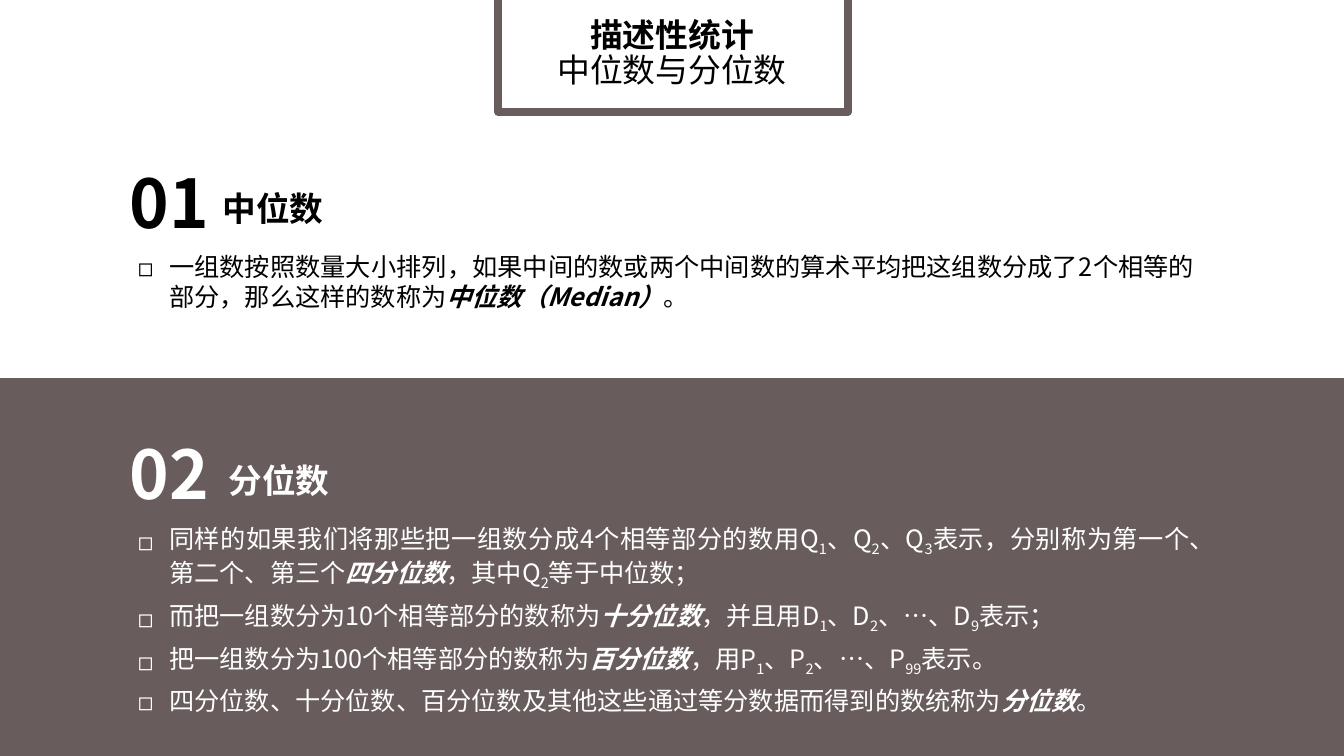
"""Build the slide on the median and quantiles."""
from dataclasses import dataclass
from typing import Any, NamedTuple

import lxml.etree
import pptx
import pptx.dml.color
import pptx.enum.shapes
import pptx.enum.text
import pptx.oxml.ns
import pptx.util

Inches = pptx.util.Inches
Align = pptx.enum.text.PP_ALIGN
Anchor = pptx.enum.text.MSO_ANCHOR
AutoSize = pptx.enum.text.MSO_AUTO_SIZE


@dataclass(frozen=True)
class Theme:
    font: str = "Noto Sans CJK SC"
    taupe: str = "685D5C"
    white: str = "FFFFFF"
    black: str = "000000"
    title_size: float = 23.4
    number_size: float = 48
    heading_size: float = 24
    body_size: float = 18
    frame_width: float = 5.5
    subscript: str = "-25000"
    bullet: str = "◻"


class Box(NamedTuple):
    left: float
    top: float
    width: float
    height: float

    def lengths(self) -> list[int]:
        return [Inches(value) for value in self]


class Section(NamedTuple):
    number: str
    number_box: Box
    heading: str
    heading_box: Box
    body: list[str]
    body_box: Box
    color: str
    space_before: float


THEME = Theme()
EMPHASIS: dict[str, dict[str, bool]] = {
    "*": {"bold": True, "italic": True},
    "#": {"bold": True},
    "_": {},
}
TITLE = "#描述性统计|\n|中位数与分位数"
TITLE_BOX = Box(4.93, -0.04, 3.47, 1.16)
FRAME_BOX = Box(4.94, -0.6, 3.47, 1.71)
PANEL_BOX = Box(0, 3.75, 13.33, 3.75)
SECTIONS = [
    Section(
        "#02", Box(0.9, 4.24, 1.68, 0.91),
        "#分位数", Box(1.88, 4.51, 2.79, 0.5),
        [
            "同样的如果我们将那些把一组数分成4个相等部分的数用Q|_1|、Q|_2|、Q|_3"
            "|表示，分别称为第一个、第二个、第三个|*四分位数|，其中Q|_2|等于中位数；",
            "而把一组数分为10个相等部分的数称为|*十分位数|，并且用D|_1|、D|_2|、…、D|_9|表示；",
            "把一组数分为100个相等部分的数称为|*百分位数|，用P|_1|、P|_2|、…、P|_99|表示。",
            "四分位数、十分位数、百分位数及其他这些通过等分数据而得到的数统称为|*分位数|。",
        ],
        Box(1.27, 5.14, 10.88, 1.87), THEME.white, 6,
    ),
    Section(
        "#01", Box(0.9, 1.55, 1.51, 0.91),
        "#中位数", Box(1.82, 1.82, 2.79, 0.5),
        [
            "一组数按照数量大小排列，如果中间的数或两个中间数的算术平均把这组数分成了2个相等的部分，"
            "那么这样的数称为|*中位数（Median）|。",
        ],
        Box(1.27, 2.44, 10.67, 0.71), THEME.black, 0,
    ),
]


def apply_format(target: Any, values: dict[str, Any]) -> None:
    """Set each named attribute on the target."""
    for name, value in values.items():
        setattr(target, name, value)


def rgb(color: str) -> pptx.dml.color.RGBColor:
    """Return the colour for a hexadecimal string."""
    return pptx.dml.color.RGBColor.from_string(color)


def add_child(parent: Any, tag: str, **attributes: str) -> None:
    """Append a drawing element with attributes."""
    lxml.etree.SubElement(parent, pptx.oxml.ns.qn(tag), attributes)


def add_rectangle(slide: Any, box: Box, fill: str, line: str | None = None) -> None:
    """Draw a rectangle, framed when a line colour is given."""
    shape = slide.shapes.add_shape(
        pptx.enum.shapes.MSO_SHAPE.RECTANGLE, *box.lengths())
    shape.shadow.inherit = False
    shape.fill.solid()
    shape.fill.fore_color.rgb = rgb(fill)
    if line is None:
        shape.line.fill.background()
    else:
        shape.line.color.rgb = rgb(line)
        shape.line.width = pptx.util.Pt(THEME.frame_width)


def add_runs(paragraph: Any, markup: str, size: float, color: str) -> None:
    """Add the styled pieces of one paragraph."""
    for piece in markup.split("|"):
        if piece == "\n":
            paragraph.add_line_break()
            continue
        marker = piece[0] if piece[0] in EMPHASIS else ""
        run = paragraph.add_run()
        run.text = piece.removeprefix(marker)
        values = {"name": THEME.font, "size": pptx.util.Pt(size),
                  "bold": False, "italic": False}
        apply_format(run.font, values | EMPHASIS.get(marker, {}))
        run.font.color.rgb = rgb(color)
        properties = run._r.get_or_add_rPr()
        add_child(properties, "a:ea", typeface=THEME.font)
        if marker == "_":
            properties.set("baseline", THEME.subscript)


def add_text(slide: Any, box: Box, paragraphs: list[str], size: float, color: str,
             frame_format: dict[str, Any], paragraph_format: dict[str, Any],
             margin: float = 0, indent: float = 0, bullet: str = "",
             space_before: float = 0) -> None:
    """Add a text box holding the given paragraphs."""
    frame = slide.shapes.add_textbox(*box.lengths()).text_frame
    apply_format(frame, {"word_wrap": True} | frame_format)
    for index, markup in enumerate(paragraphs):
        paragraph = frame.add_paragraph() if index else frame.paragraphs[0]
        properties = paragraph._p.get_or_add_pPr()
        properties.set("marL", str(Inches(margin)))
        properties.set("indent", str(Inches(indent)))
        if bullet:
            add_child(properties, "a:buFont", typeface=THEME.font)
            add_child(properties, "a:buChar", char=bullet)
        apply_format(paragraph, paragraph_format)
        if index:
            paragraph.space_before = pptx.util.Pt(space_before)
        add_runs(paragraph, markup, size, color)


def add_section(slide: Any, section: Section) -> None:
    """Add the number, heading and bullets of a section."""
    grow = {"auto_size": AutoSize.SHAPE_TO_FIT_TEXT}
    justified = {"alignment": Align.JUSTIFY}
    add_text(slide, section.body_box, section.body, THEME.body_size, section.color,
             grow, justified, margin=0.31, indent=-0.31, bullet=THEME.bullet,
             space_before=section.space_before)
    for text, box, size in (
        (section.number, section.number_box, THEME.number_size),
        (section.heading, section.heading_box, THEME.heading_size),
    ):
        add_text(slide, box, [text], size, section.color, grow, justified, indent=0.29)


def main() -> None:
    """Build and save the presentation."""
    presentation = pptx.Presentation()
    apply_format(presentation, {"slide_width": Inches(13.33), "slide_height": Inches(7.5)})
    slide = presentation.slides.add_slide(presentation.slide_layouts[6])
    add_rectangle(slide, FRAME_BOX, THEME.white, THEME.taupe)
    add_text(slide, TITLE_BOX, [TITLE], THEME.title_size, THEME.black,
             {"vertical_anchor": Anchor.MIDDLE},
             {"alignment": Align.CENTER, "line_spacing": 0.9})
    add_rectangle(slide, PANEL_BOX, THEME.taupe)
    for section in SECTIONS:
        add_section(slide, section)
    presentation.save("out.pptx")


if __name__ == "__main__":
    main()
